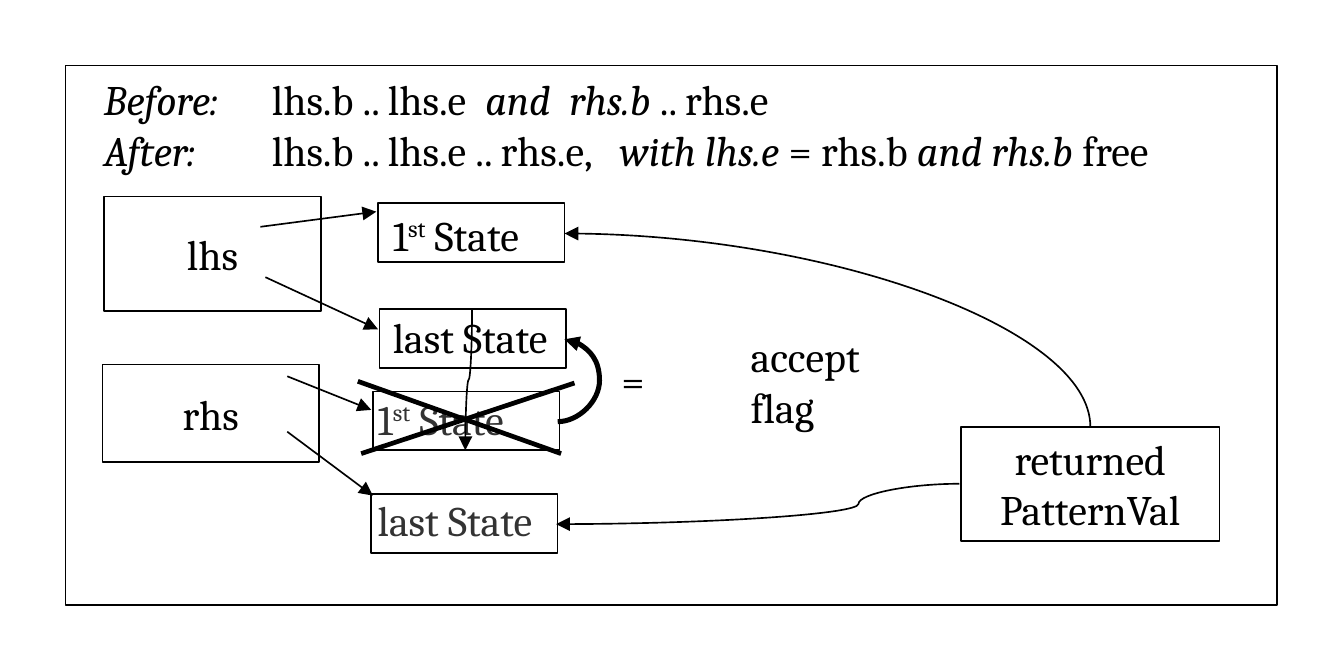
from dataclasses import dataclass

from lxml import etree
from pptx import Presentation, util as u
from pptx.dml.color import RGBColor
from pptx.enum import shapes, text
from pptx.oxml.ns import qn

BLACK = RGBColor(0x00, 0x00, 0x00)
GREY = RGBColor(0x33, 0x33, 0x33)
WHITE = RGBColor(0xFF, 0xFF, 0xFF)
THIN, THICK, HAIR = 0.71, 2.15, 0
BLANK_LAYOUT = 6
LINE_PITCH = 21.8


@dataclass
class Span:
    words: str
    italic: bool = False
    baseline: int = 0


@dataclass
class Para:
    spans: list[Span]
    tabs: tuple[float, ...] = ()
    before: float = 0


@dataclass
class Box:
    left: float
    top: float
    width: float
    height: float
    lines: tuple[str, ...] = ()


@dataclass
class Label:
    left: float
    top: float
    width: float
    height: float
    paras: list[Para]
    color: RGBColor = BLACK


@dataclass
class Line:
    start: tuple[float, float]
    end: tuple[float, float]
    width: float = THIN
    arrow: bool = True


@dataclass
class Curve:
    left: float
    top: float
    width: float
    height: float
    degrees: int
    flip: bool = True
    bend: float | None = None
    weight: float = THIN


def plain(*lines: str) -> list[Para]:
    """Return one unformatted paragraph per line."""
    return [Para([Span(line)]) for line in lines]


def states() -> list[Para]:
    """Return the labels of a first and a last state, one line apart."""
    first = Para([Span("1"), Span("st", baseline=33000), Span(" State")])
    return [first, Para([Span("last State")], before=LINE_PITCH)]


BOXES = [
    Box(0.39, 0.39, 7.21, 3.21),
    Box(2.21, 2.94, 1.11, 0.35),
    Box(2.22, 2.33, 1.11, 0.35),
    Box(2.26, 1.84, 1.11, 0.35),
    Box(2.25, 1.21, 1.11, 0.35),
    Box(0.62, 1.17, 1.29, 0.68, ("lhs",)),
    Box(0.61, 2.17, 1.29, 0.58, ("rhs",)),
    Box(5.72, 2.54, 1.54, 0.68, ("returned", "PatternVal")),
]
HEADING = [
    Para([Span("Before:\t", True), Span("lhs.b .. lhs.e\t"), Span("and\trhs.b ", True),
          Span(".. rhs.e")], (1, 2.27, 2.77)),
    Para([Span("After:\t", True), Span("lhs.b .. lhs.e .. rhs.e,\t"), Span("with lhs.e", True),
          Span(" = rhs.b "), Span("and rhs.b", True), Span(" free")], (1, 3.07)),
]
LABELS = [
    Label(2.15, 2.29, 1.27, 1.12, states(), GREY),
    Label(0.52, 0.39, 7.35, 0.78, HEADING),
    Label(2.24, 1.2, 1.27, 1.12, states()),
    Label(3.6, 2.06, 0.41, 0.44, plain("=")),
    Label(4.37, 1.92, 0.96, 0.78, plain("accept", "flag")),
]
LABELS[0].paras[1].spans[0].words = "last State"
LINES = [
    Line((1.55, 1.35), (2.24, 1.26)),
    Line((1.58, 1.65), (2.25, 1.96)),
    Line((1.71, 2.24), (2.21, 2.44)),
    Line((1.71, 2.57), (2.22, 2.95)),
    Line((2.13, 2.27), (3.34, 2.7), HAIR, False),
    Line((2.15, 2.7), (3.42, 2.28), HAIR, False),
]
CURVES = [
    Curve(4.35, 0.4, 1.15, 3.13, 270),
    Curve(3.31, 2.88, 2.4, 0.24, 180, bend=0.25),
    Curve(3.32, 2.02, 0.04, 0.49, 0, bend=6.2, weight=THICK),
    Curve(2.37, 2.24, 0.84, 0.04, 90, flip=False, bend=0.5),
]


def assign(target, values: dict) -> None:
    """Set each named attribute of the target."""
    for name, value in values.items():
        setattr(target, name, value)


def write(frame, paras: list[Para], color: RGBColor, align) -> None:
    """Fill a text frame with formatted paragraphs."""
    for index, para in enumerate(paras):
        item = frame.add_paragraph() if index else frame.paragraphs[0]
        item.alignment = align
        if para.before:
            item.space_before = u.Pt(para.before)
        if para.tabs:
            stops = etree.SubElement(item._p.get_or_add_pPr(), qn("a:tabLst"))
            for stop in para.tabs:
                etree.SubElement(stops, qn("a:tab"), pos=str(u.Inches(stop)), algn="l")
        for span in para.spans:
            run = item.add_run()
            run.text = span.words
            assign(run.font, {"name": "Cambria", "size": u.Pt(18), "italic": span.italic})
            run.font.color.rgb = color
            if span.baseline:
                run.font._element.set("baseline", str(span.baseline))


def draw_box(page, box: Box) -> None:
    """Draw an outlined rectangle with centred lines."""
    place = map(u.Inches, (box.left, box.top, box.width, box.height))
    shape = page.shapes.add_shape(shapes.MSO_SHAPE.RECTANGLE, *place)
    shape.shadow.inherit = False
    shape.fill.solid()
    shape.fill.fore_color.rgb = WHITE
    shape.line.color.rgb = BLACK
    shape.line.width = u.Pt(THIN)
    if box.lines:
        assign(shape.text_frame, {"word_wrap": True, "vertical_anchor": text.MSO_ANCHOR.MIDDLE})
        write(shape.text_frame, plain(*box.lines), BLACK, text.PP_ALIGN.CENTER)


def draw_label(page, label: Label) -> None:
    """Draw free text that does not wrap."""
    place = map(u.Inches, (label.left, label.top, label.width, label.height))
    frame = page.shapes.add_textbox(*place).text_frame
    assign(frame, {"word_wrap": False, "auto_size": text.MSO_AUTO_SIZE.SHAPE_TO_FIT_TEXT})
    write(frame, label.paras, label.color, text.PP_ALIGN.LEFT)


def draw_line(page, line: Line, kind=shapes.MSO_CONNECTOR.STRAIGHT):
    """Draw a connector and return its shape properties."""
    connector = page.shapes.add_connector(kind, *map(u.Inches, line.start + line.end))
    connector.line.color.rgb = BLACK
    connector.line.width = u.Pt(line.width)
    props = connector.element.spPr
    if line.arrow:
        etree.SubElement(props.find(qn("a:ln")), qn("a:tailEnd"), type="triangle")
    etree.SubElement(props, qn("a:effectLst"))
    return props


def draw_curve(page, curve: Curve) -> None:
    """Draw a turned and flipped curved arrow."""
    end = (curve.left + curve.width, curve.top + curve.height)
    line = Line((curve.left, curve.top), end, curve.weight)
    props = draw_line(page, line, shapes.MSO_CONNECTOR.CURVE)
    frame, geometry = props.find(qn("a:xfrm")), props.find(qn("a:prstGeom"))
    frame.set("rot", str(curve.degrees * 60000))
    if curve.flip:
        frame.set("flipV", "1")
    if curve.bend is None:
        geometry.set("prst", "curvedConnector2")
    else:
        etree.SubElement(geometry.find(qn("a:avLst")), qn("a:gd"), name="adj1",
                         fmla=f"val {round(curve.bend * 100000)}")


def main() -> None:
    """Build the slide and save the deck."""
    deck = Presentation()
    assign(deck, {"slide_width": u.Inches(8), "slide_height": u.Inches(4)})
    page = deck.slides.add_slide(deck.slide_layouts[BLANK_LAYOUT])
    for draw, items in ((draw_box, BOXES), (draw_label, LABELS),
                        (draw_line, LINES), (draw_curve, CURVES)):
        for item in items:
            draw(page, item)
    deck.save("out.pptx")


if __name__ == "__main__":
    main()
